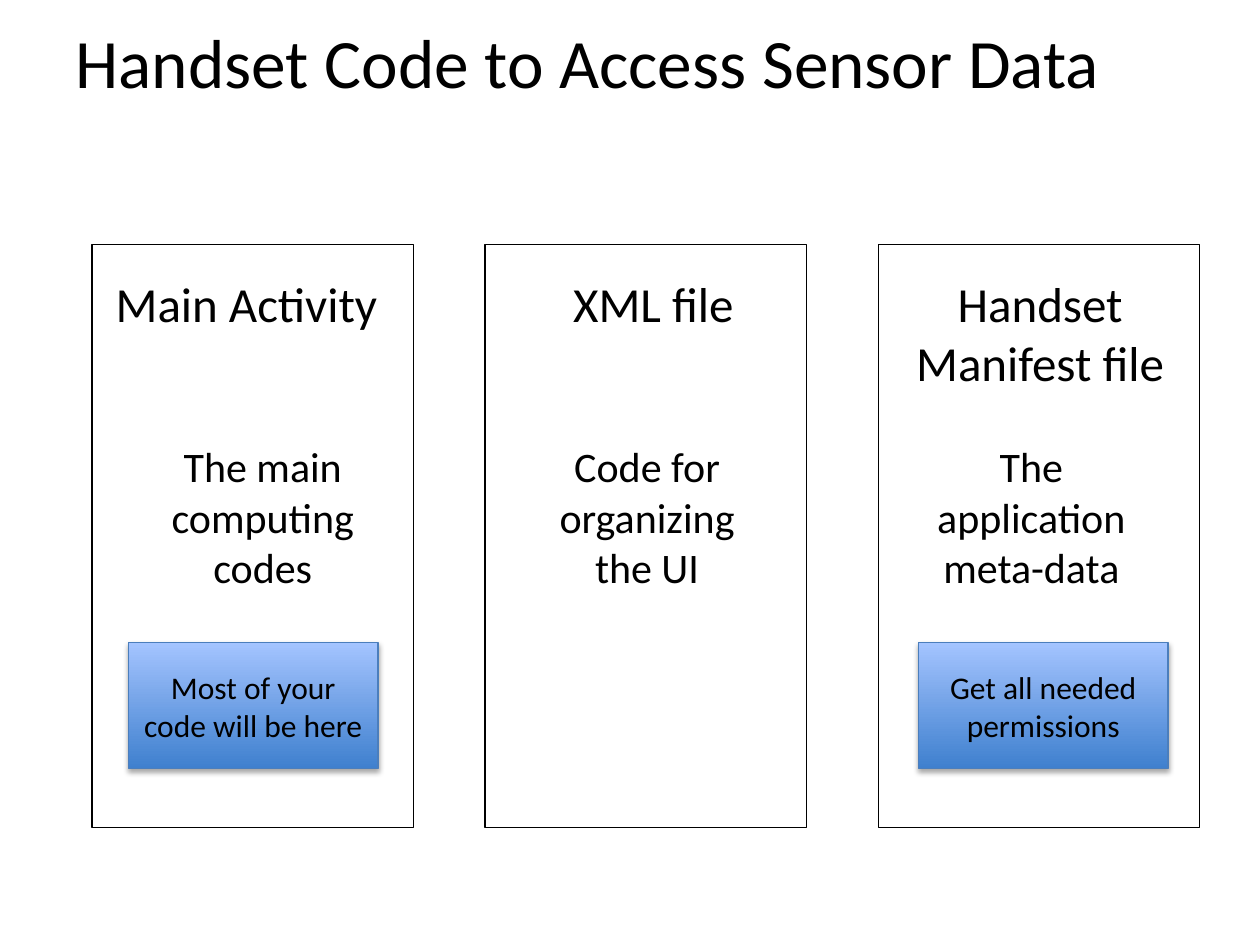
from dataclasses import dataclass

from lxml import etree
from pptx import Presentation
from pptx.dml.color import RGBColor
from pptx.enum.shapes import MSO_SHAPE
from pptx.enum.text import MSO_ANCHOR, MSO_AUTO_SIZE, PP_ALIGN
from pptx.oxml.ns import qn
from pptx.util import Inches, Pt

RECT = MSO_SHAPE.RECTANGLE
MIDDLE = MSO_ANCHOR.MIDDLE
GROW = MSO_AUTO_SIZE.SHAPE_TO_FIT_TEXT
LEFT, CENTER = PP_ALIGN.LEFT, PP_ALIGN.CENTER


@dataclass(frozen=True)
class Theme:
    font: str = "Calibri"
    ink: RGBColor = RGBColor(0, 0, 0)
    low: RGBColor = RGBColor(0x3F, 0x80, 0xCE)
    high: RGBColor = RGBColor(0xA4, 0xC4, 0xFF)
    edge: RGBColor = RGBColor(0x4B, 0x7E, 0xBC)
    title: Pt = Pt(39.6)
    head: Pt = Pt(28)
    body: Pt = Pt(24)
    note: Pt = Pt(18)
    rule: Pt = Pt(0.75)


theme = Theme()


def write(shape, text, size, align=CENTER):
    frame = shape.text_frame
    frame.word_wrap = True
    frame.text = text
    for para in frame.paragraphs:
        para.alignment = align
        for run in para.runs:
            run.font.name = theme.font
            run.font.size = size
            run.font.color.rgb = theme.ink


def add_shade(shape):
    """Give the shape a soft shadow that falls straight down."""
    shape.shadow.inherit = False
    effects = shape._element.spPr.find(qn("a:effectLst"))
    shade = etree.SubElement(effects, qn("a:outerShdw"), blurRad=str(Pt(3.1)),
                             dist=str(Pt(1.8)), dir="5400000", rotWithShape="0")
    color = etree.SubElement(shade, qn("a:srgbClr"), val="000000")
    etree.SubElement(color, qn("a:alpha"), val="35000")


deck = Presentation()
deck.slide_width, deck.slide_height = Inches(10), Inches(7.5)
slide = deck.slides.add_slide(deck.slide_layouts[5])
shapes = slide.shapes

title = shapes.title
title.left, title.top = Inches(0.5), Inches(-0.14)
title.width, title.height = Inches(9), Inches(1.25)
write(title, "Handset Code to Access Sensor Data", theme.title, LEFT)
title.text_frame.vertical_anchor = MIDDLE

# Column frames
for col in range(3):
    panel = shapes.add_shape(RECT, Inches(0.73 + 3.12 * col), Inches(1.94),
                             Inches(2.55), Inches(4.63))
    panel.fill.background()
    panel.line.color.rgb = theme.ink
    panel.line.width = theme.rule
    panel.shadow.inherit = False

# Column headings
heads = [
    (0.82, 0.57, "Main Activity", LEFT),
    (3.99, 0.57, "XML file", CENTER),
    (7.06, 1.04, "Handset Manifest file", CENTER),
]
for x, height, text, align in heads:
    head = shapes.add_textbox(Inches(x), Inches(2.12), Inches(2.39), Inches(height))
    write(head, text, theme.head, align)
    head.text_frame.auto_size = GROW

# What each file holds
roles = ["The main computing codes", "Code for organizing the UI",
         "The application meta-data"]
for col, text in enumerate(roles):
    role = shapes.add_textbox(Inches(1.14 + 3.05 * col), Inches(3.45),
                              Inches(1.89), Inches(1.31))
    write(role, text, theme.body)
    role.text_frame.auto_size = GROW

# Notes at the foot of the outer columns
notes = [(1.02, "Most of your code will be here"), (7.29, "Get all needed permissions")]
for x, text in notes:
    note = shapes.add_shape(RECT, Inches(x), Inches(5.1), Inches(1.98), Inches(1))
    note.fill.gradient()
    note.fill.gradient_angle = 90
    for stop, color in zip(note.fill.gradient_stops, (theme.low, theme.high)):
        stop.color.rgb = color
    note.line.color.rgb = theme.edge
    note.line.width = theme.rule
    add_shade(note)
    write(note, text, theme.note)
    note.text_frame.vertical_anchor = MIDDLE

deck.save("out.pptx")
